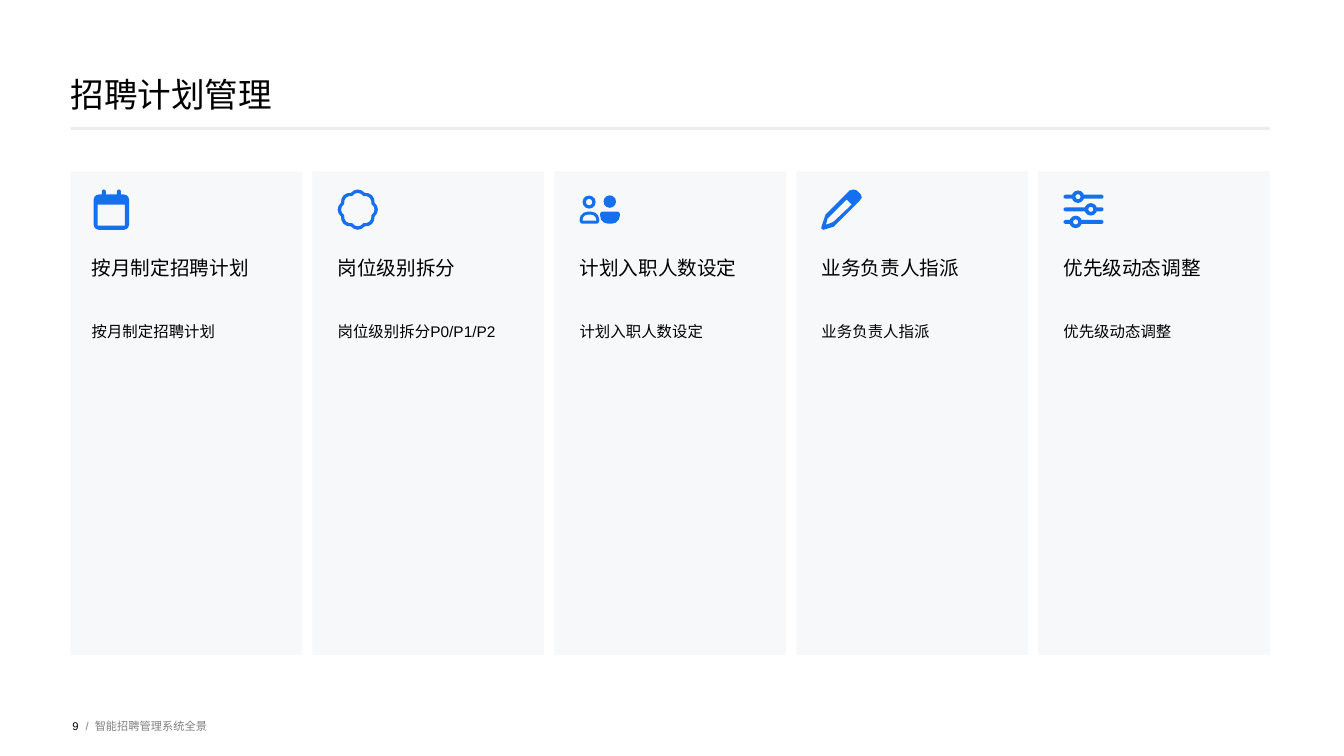
import math
from dataclasses import dataclass
from typing import Callable, Optional

import pptx
import pptx.dml.color
import pptx.enum.shapes
import pptx.enum.text
import pptx.oxml
import pptx.util
from pptx.oxml import ns

Pt = pptx.util.Pt
Align = pptx.enum.text.PP_ALIGN
Anchor = pptx.enum.text.MSO_ANCHOR
Contour = list[tuple[float, float]]

FONT = "Arial"
BLACK, GREY, NAVY, BLUE, RULE = "000000", "808080", "0E2841", "1570EF", "EAECF0"
MARGIN = 50.4
CARD_TOP, CARD_WIDTH, CARD_HEIGHT, CARD_PITCH = 122.4, 165.6, 345.6, 172.8
ICON_TOP, ICON_UNIT = 135.36, 0.72  # icons lie on a grid of 40 by 40 units


@dataclass(frozen=True)
class Card:
    heading: str
    detail: str
    icon: Callable[[], list[Contour]]
    inset: float = 18


@dataclass(frozen=True)
class Label:
    text: str
    left: float
    top: float
    width: float
    height: float
    size: float
    color: str = BLACK
    anchor: Anchor = Anchor.TOP
    align: Align = Align.LEFT
    line_spacing: Optional[float] = None


def rgb(color: str) -> pptx.dml.color.RGBColor:
    return pptx.dml.color.RGBColor.from_string(color)


def arc(x: float, y: float, radius: float,
        start: int = 0, end: int = 330, step: int = 30) -> Contour:
    """Points on a circle, clockwise, with angles in degrees from the right."""
    if radius == 0:
        return [(x, y)]
    angles = [math.radians(angle) for angle in range(start, end + 1, step)]
    return [(x + radius * math.cos(a), y + radius * math.sin(a)) for a in angles]


def rounded(left: float, top: float, right: float, bottom: float,
            upper: float = 0, lower: float = 0) -> Contour:
    """A rectangle with one radius for its upper and one for its lower corners."""
    return (arc(left + upper, top + upper, upper, 180, 270)
            + arc(right - upper, top + upper, upper, 270, 360)
            + arc(right - lower, bottom - lower, lower, 0, 90)
            + arc(left + lower, bottom - lower, lower, 90, 180))


def calendar() -> list[Contour]:
    pins = [arc(x, 2, 2, 180, 360, 45) + [(x + 2, 5), (x - 2, 5)] for x in (12, 27)]
    return [rounded(2, 5, 37, 40, 5, 5), rounded(6, 15, 33, 36), *pins]


def badge() -> list[Contour]:
    def scallops(valley: float) -> Contour:
        angles = [math.radians(step * 11.25) for step in range(32)]
        radii = [valley + 2 * abs(math.cos(4 * a)) for a in angles]
        return [(20 + r * math.cos(a), 20 + r * math.sin(a))
                for r, a in zip(radii, angles)]

    return [scallops(18), scallops(14.6)]


def people() -> list[Contour]:
    return [arc(9.5, 12.5, 6.5), arc(9.5, 12.5, 3.2), arc(30, 12, 6.2),
            rounded(0, 22, 19.6, 34, 8, 3), rounded(3, 25, 16.6, 31, 5),
            rounded(20.4, 22, 40, 34, 2.5, 8)]


def pencil() -> list[Contour]:
    body = [(3, 28), (0, 37), (0, 39), (2, 40), (12, 37), (14, 35), (38, 11),
            (40, 8), (39, 5), (35, 1), (32, 0), (28, 1), (4, 25)]
    barrel = [(6, 29), (7, 28), (25, 10), (30, 15), (12, 32), (10, 33), (4.5, 35)]
    return [body, barrel]


def sliders() -> list[Contour]:
    contours = []
    for knob, y in ((14.5, 7.2), (27.2, 19.7), (12.2, 32.2)):
        start, end = knob - 5.9, knob + 5.9
        contours += [
            arc(knob, y, 6.2), arc(knob, y, 2.6, step=45),
            arc(2, y, 2, 90, 270, 60) + [(start, y - 2), (start, y + 2)],
            arc(38, y, 2, 270, 450, 60) + [(end, y + 2), (end, y - 2)]]
    return contours


CARDS = [
    Card("按月制定招聘计划", "按月制定招聘计划", calendar, inset=15.12),
    Card("岗位级别拆分", "岗位级别拆分P0/P1/P2", badge),
    Card("计划入职人数设定", "计划入职人数设定", people),
    Card("业务负责人指派", "业务负责人指派", pencil),
    Card("优先级动态调整", "优先级动态调整", sliders),
]

LABELS = [
    Label("招聘计划管理", MARGIN, 0, 859.68, 81.36, 24, anchor=Anchor.BOTTOM),
    Label("9", 33.84, 496.8, 22.32, 43.2, 8, anchor=Anchor.MIDDLE, align=Align.RIGHT),
    Label("/", 61.2, 496.8, 6.5, 43.2, 8, GREY, Anchor.MIDDLE),
    Label("智能招聘管理系统全景", 67.68, 496.8, 619.92, 43.2, 8, GREY, Anchor.MIDDLE),
]


def add_label(slide, label: Label) -> None:
    shape = slide.shapes.add_textbox(Pt(label.left), Pt(label.top),
                                     Pt(label.width), Pt(label.height))
    frame = shape.text_frame
    frame.word_wrap = True
    frame.margin_left = frame.margin_top = frame.margin_right = frame.margin_bottom = 0
    frame.vertical_anchor = label.anchor
    frame.text = label.text
    paragraph = frame.paragraphs[0]
    paragraph.alignment = label.align
    if label.line_spacing:
        paragraph.line_spacing = label.line_spacing
    font = paragraph.runs[0].font
    font.name, font.size = FONT, Pt(label.size)
    font.color.rgb = rgb(label.color)


def paint(shape, color: str, opacity: int = 100) -> None:
    """Fill a shape, with opacity in percent, and remove its outline and shadow."""
    shape.shadow.inherit = False
    shape.line.fill.background()
    shape.fill.solid()
    shape.fill.fore_color.rgb = rgb(color)
    if opacity < 100:
        fill_color = shape._element.spPr.find(".//" + ns.qn("a:srgbClr"))
        fill_color.append(pptx.oxml.parse_xml(
            f'<a:alpha {ns.nsdecls("a")} val="{opacity * 1000}"/>'))


def add_icon(slide, contours: list[Contour], left: float) -> None:
    """Draw all contours as one outline, where inner contours are holes."""
    placed = [[(Pt(left + x * ICON_UNIT), Pt(ICON_TOP + y * ICON_UNIT))
               for x, y in contour] for contour in contours]
    builder = slide.shapes.build_freeform(*placed[0][0])
    for index, points in enumerate(placed):
        if index:
            builder.move_to(*points[0])
        builder.add_line_segments(points[1:], close=True)
    paint(builder.convert_to_shape(), BLUE)


def add_card(slide, card: Card, left: float) -> None:
    panel = slide.shapes.add_shape(
        pptx.enum.shapes.MSO_SHAPE.RECTANGLE,
        Pt(left), Pt(CARD_TOP), Pt(CARD_WIDTH), Pt(CARD_HEIGHT))
    paint(panel, NAVY, opacity=3)
    inner = left + card.inset
    add_icon(slide, card.icon(), inner)
    add_label(slide, Label(card.heading, inner, 185.04, 129.6, 36, 14, line_spacing=0.9))
    add_label(slide, Label(card.detail, inner, 230.4, 129.6, 216, 11))


def add_title_rule(slide) -> None:
    rule = slide.shapes.add_connector(
        pptx.enum.shapes.MSO_CONNECTOR.STRAIGHT,
        Pt(MARGIN), Pt(91.6), Pt(907.2), Pt(91.6))
    rule.line.color.rgb = rgb(RULE)
    rule.line.width = Pt(2)
    rule._element.spPr.append(
        pptx.oxml.parse_xml(f'<a:effectLst {ns.nsdecls("a")}/>'))


def main() -> None:
    presentation = pptx.Presentation()
    presentation.slide_width, presentation.slide_height = Pt(960), Pt(540)
    slide = presentation.slides.add_slide(presentation.slide_layouts[6])
    for index, card in enumerate(CARDS):
        add_card(slide, card, MARGIN + index * CARD_PITCH)
    add_title_rule(slide)
    for label in LABELS:
        add_label(slide, label)
    presentation.save("out.pptx")


if __name__ == "__main__":
    main()
